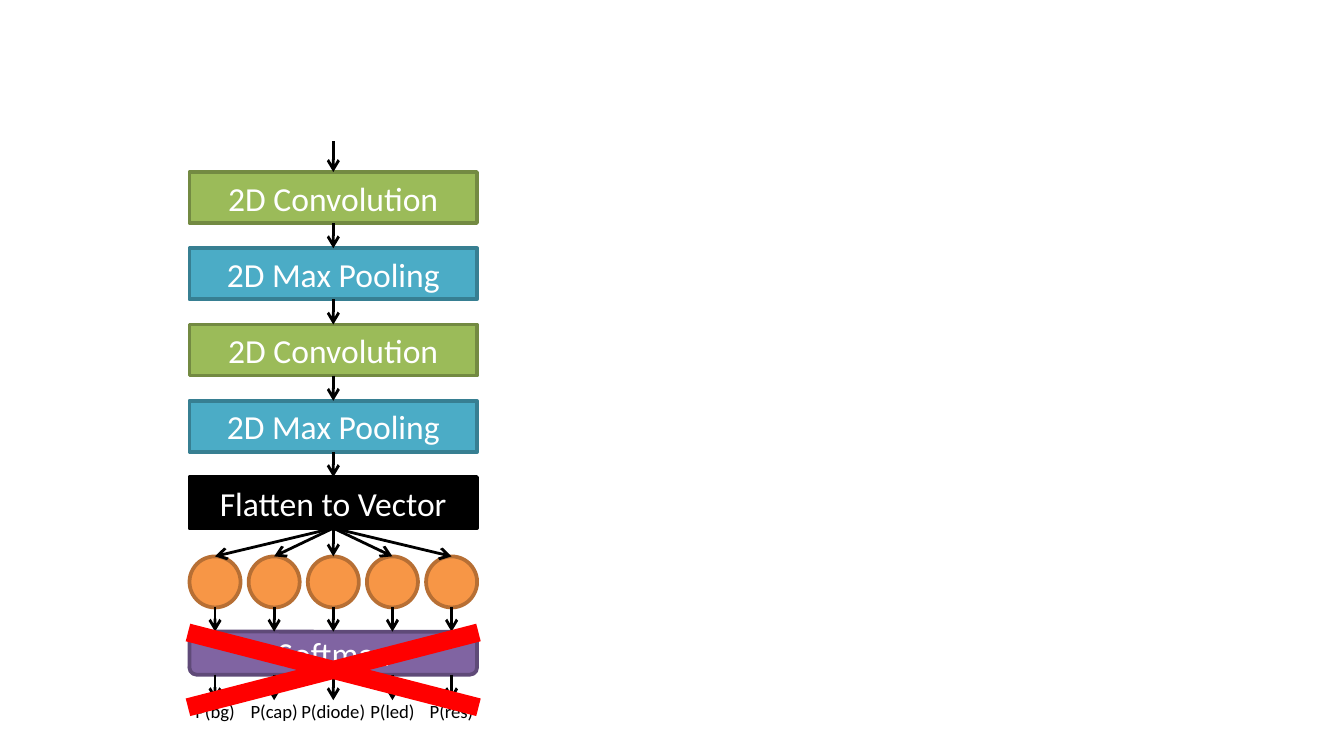
from dataclasses import dataclass

from pptx import Presentation
from pptx.dml.color import RGBColor
from pptx.enum.shapes import MSO_CONNECTOR as Connector, MSO_SHAPE as Shape
from pptx.enum.text import MSO_ANCHOR as Anchor, MSO_AUTO_SIZE as AutoSize, PP_ALIGN as Align
from pptx.oxml.ns import qn
from pptx.util import Inches, Pt
from lxml.etree import SubElement

BLACK = RGBColor(0x00, 0x00, 0x00)
WHITE = RGBColor(0xFF, 0xFF, 0xFF)
RED = RGBColor(0xFF, 0x00, 0x00)
GREEN, DARK_GREEN = RGBColor(0x9B, 0xBB, 0x59), RGBColor(0x73, 0x8A, 0x42)
TEAL, DARK_TEAL = RGBColor(0x4B, 0xAC, 0xC6), RGBColor(0x37, 0x7F, 0x92)
ORANGE, DARK_ORANGE = RGBColor(0xF7, 0x96, 0x46), RGBColor(0xB7, 0x6F, 0x34)
PURPLE, DARK_PURPLE = RGBColor(0x80, 0x64, 0xA2), RGBColor(0x5F, 0x4A, 0x78)

FONT = "Calibri"
PAGE_WIDTH = 10
PAGE_HEIGHT = PAGE_WIDTH * 9 / 16
LEFT, WIDTH = 1.41, 2.14
CENTER = LEFT + WIDTH / 2
FIRST_LAYER_TOP, LAST_LAYER_TOP, LAYER_HEIGHT = 1.28, 3.55, 0.38
INPUT_TOP = 1.05
NEURON_TOP, NEURON_SIZE, NEURON_STEP = 4.14, 0.38, 0.44
SOFTMAX_TOP, SOFTMAX_HEIGHT = 4.7, 0.32
LABEL_TOP, LABEL_WIDTH, LABEL_HEIGHT = 5.21, 0.5, 0.17
TOP, BOTTOM = 0, 2  # connection sites


@dataclass
class Layer:
    text: str
    fill: RGBColor
    line: RGBColor


CONVOLUTION = Layer("2D Convolution", GREEN, DARK_GREEN)
POOLING = Layer("2D Max Pooling", TEAL, DARK_TEAL)
FLATTEN = Layer("Flatten to Vector", BLACK, BLACK)
LAYERS = [CONVOLUTION, POOLING, CONVOLUTION, POOLING, FLATTEN]
LAYER_STEP = (LAST_LAYER_TOP - FIRST_LAYER_TOP) / (len(LAYERS) - 1)
NEURON = Layer("", ORANGE, DARK_ORANGE)
SOFTMAX = Layer("Softmax", PURPLE, DARK_PURPLE)
CLASSES = ["P(bg)", "P(cap)", "P(diode)", "P(led)", "P(res)"]


def write_text(frame, text: str, size: float, color: RGBColor) -> None:
    frame.text = text
    para = frame.paragraphs[0]
    para.alignment = Align.CENTER
    font = para.runs[0].font
    font.name, font.size = FONT, Pt(size)
    font.color.rgb = color


def add_block(page, kind: Shape, layer: Layer, left: float, top: float,
              width: float, height: float):
    block = page.shapes.add_shape(kind, Inches(left), Inches(top), Inches(width), Inches(height))
    block.shadow.inherit = False
    block.fill.solid()
    block.fill.fore_color.rgb = layer.fill
    block.line.color.rgb = layer.line
    block.line.width = Pt(2)
    if layer.text:
        block.text_frame.vertical_anchor = Anchor.MIDDLE
        write_text(block.text_frame, layer.text, 18, WHITE)
    return block


def add_arrow(page, x: float, top: float, bottom: float, source=None, target=None) -> None:
    arrow = page.shapes.add_connector(
        Connector.STRAIGHT, Inches(x), Inches(top), Inches(x), Inches(bottom))
    arrow.line.color.rgb = BLACK
    arrow.line.width = Pt(1.5)
    SubElement(arrow.line._get_or_add_ln(), qn("a:tailEnd"), type="arrow")
    SubElement(arrow._element.spPr, qn("a:effectLst"))
    if source is not None:
        arrow.begin_connect(source, BOTTOM)
    if target is not None:
        arrow.end_connect(target, TOP)


def add_label(page, text: str, center: float) -> None:
    label = page.shapes.add_textbox(Inches(center - LABEL_WIDTH / 2), Inches(LABEL_TOP),
                                    Inches(LABEL_WIDTH), Inches(LABEL_HEIGHT))
    frame = label.text_frame
    frame.margin_left = frame.margin_right = frame.margin_top = frame.margin_bottom = 0
    frame.word_wrap = True
    frame.auto_size = AutoSize.SHAPE_TO_FIT_TEXT
    write_text(frame, text, 10, BLACK)


def add_cross(page) -> None:
    cross = page.shapes.add_shape(Shape.MATH_MULTIPLY, Inches(0.4), Inches(4.45),
                                  Inches(4.16), Inches(1.07))
    cross.adjustments[0] = 0.126
    cross.shadow.inherit = False
    cross.fill.solid()
    cross.fill.fore_color.rgb = RED
    cross.line.fill.background()


def main() -> None:
    deck = Presentation()
    deck.slide_width, deck.slide_height = Inches(PAGE_WIDTH), Inches(PAGE_HEIGHT)
    page = deck.slides.add_slide(deck.slide_layouts[6])

    # Layer stack, each fed by the one above
    previous = None
    for index, layer in enumerate(LAYERS):
        top = FIRST_LAYER_TOP + index * LAYER_STEP
        block = add_block(page, Shape.RECTANGLE, layer, LEFT, top, WIDTH, LAYER_HEIGHT)
        add_arrow(page, CENTER, INPUT_TOP, top, previous, block)
        previous = block

    # Softmax
    softmax = add_block(page, Shape.ROUNDED_RECTANGLE, SOFTMAX, LEFT, SOFTMAX_TOP,
                        WIDTH, SOFTMAX_HEIGHT)

    # One neuron and one probability per class; the middle one meets the softmax centre
    middle = len(CLASSES) // 2
    for index, name in enumerate(CLASSES):
        center = CENTER + (index - middle) * NEURON_STEP
        hub = softmax if index == middle else None
        neuron = add_block(page, Shape.OVAL, NEURON, center - NEURON_SIZE / 2, NEURON_TOP,
                           NEURON_SIZE, NEURON_SIZE)
        add_arrow(page, center, NEURON_TOP, NEURON_TOP, previous, neuron)
        add_arrow(page, center, NEURON_TOP + NEURON_SIZE, SOFTMAX_TOP, target=hub)
        add_arrow(page, center, SOFTMAX_TOP + SOFTMAX_HEIGHT, LABEL_TOP, source=hub)
        add_label(page, name, center)

    # Red cross over the softmax stage
    add_cross(page)

    deck.save("out.pptx")


if __name__ == "__main__":
    main()
